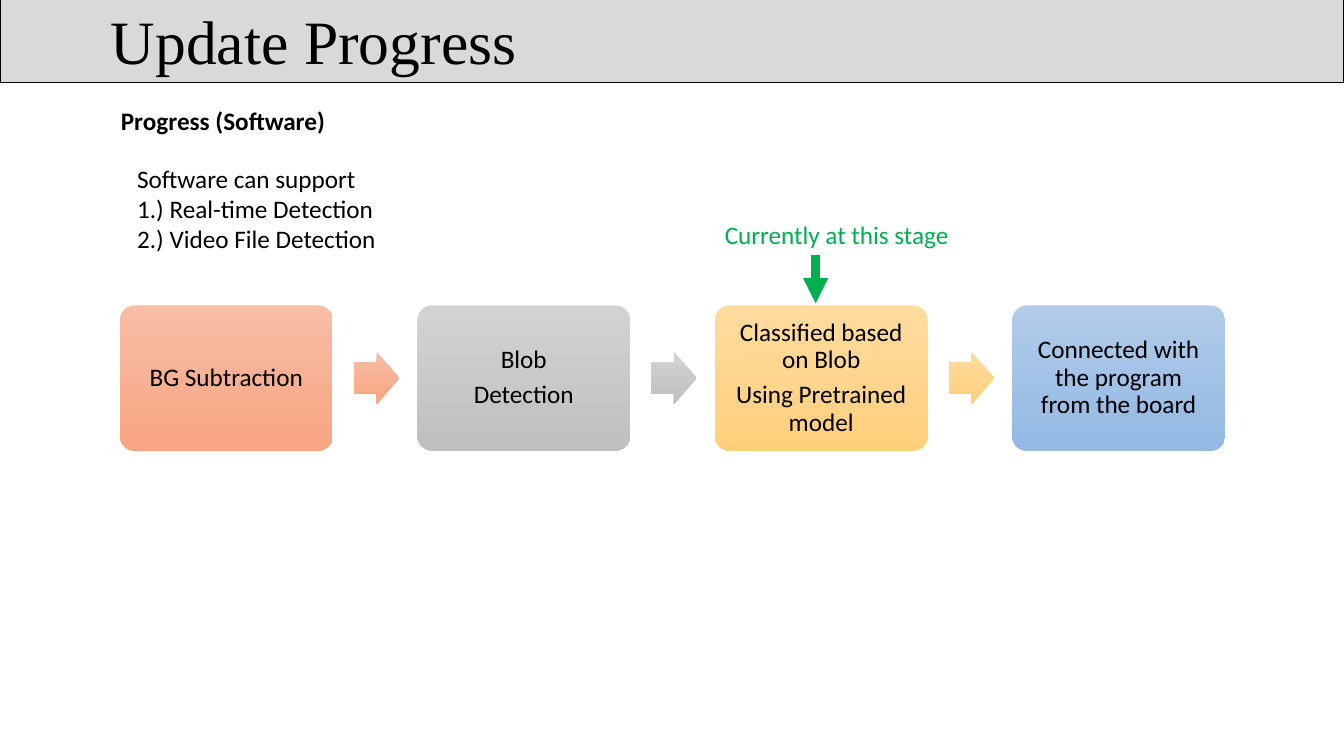
"""Build the "Update Progress" slide with its four-stage software pipeline."""
from dataclasses import dataclass

from lxml import etree
from pptx import Presentation
from pptx.dml.color import RGBColor
from pptx.enum.shapes import MSO_CONNECTOR, MSO_SHAPE
from pptx.enum.text import MSO_ANCHOR, MSO_AUTO_SIZE, PP_ALIGN
from pptx.oxml.ns import qn
from pptx.util import Emu, Pt

ROUND_RECT, RIGHT_ARROW = MSO_SHAPE.ROUNDED_RECTANGLE, MSO_SHAPE.RIGHT_ARROW
STRAIGHT = MSO_CONNECTOR.STRAIGHT
TOP, MIDDLE = MSO_ANCHOR.TOP, MSO_ANCHOR.MIDDLE
LEFT, CENTER = PP_ALIGN.LEFT, PP_ALIGN.CENTER
NO_FIT = MSO_AUTO_SIZE.NONE

EMU_PER_PX = 9144
BLACK, GREEN, BAR_GREY = "000000", "00B050", "D9D9D9"
STAGE_LEFT, STAGE_TOP, STAGE_W, STAGE_H, STAGE_PITCH = 119, 303, 211, 144, 295
ARROW_OFFSET, ARROW_W, ARROW_H = 232, 45, 52


@dataclass(frozen=True)
class Stage:
    text: str
    top_color: str
    bottom_color: str


@dataclass(frozen=True)
class Label:
    text: str
    left: int
    top: int
    width: int
    color: str
    bold: bool
    wrap: bool


STAGES = [
    Stage("BG Subtraction", "F7BDA5", "F8A582"),
    Stage("Blob\nDetection", "D2D2D2", "C0C0C0"),
    Stage("Classified based on Blob\nUsing Pretrained model", "FFDB9E", "FFD07C"),
    Stage("Connected with the program from the board", "B1CBE9", "93B9E4"),
]
LABELS = [
    Label("Progress (Software)", 110, 100, 398, BLACK, True, True),
    Label("Currently at this stage", 709, 213, 245, GREEN, False, False),
]
SUPPORT_LIST = "Software can support\n1.) Real-time Detection\n2.) Video File Detection"


def px(n: int) -> Emu:
    return Emu(n * EMU_PER_PX)


def rgb(color: str) -> RGBColor:
    return RGBColor.from_string(color)


def place(s, left: int, top: int, width: int, height: int) -> None:
    s.left, s.top, s.width, s.height = px(left), px(top), px(width), px(height)


def format_text(tf, color: str = BLACK, size: int = 18, font: str = "Calibri",
                bold: bool = False, align: PP_ALIGN = LEFT) -> None:
    for p in tf.paragraphs:
        p.alignment = align
        for r in p.runs:
            r.font.name, r.font.size, r.font.bold = font, Pt(size), bold
            r.font.color.rgb = rgb(color)


def add_gradient_shape(slide, kind: MSO_SHAPE, box: tuple[int, int, int, int],
                       stage: Stage, adjustment: float):
    s = slide.shapes.add_shape(kind, *map(px, box))
    s.adjustments[0] = adjustment
    s.shadow.inherit = False
    s.line.fill.background()
    s.fill.gradient()
    s.fill.gradient_angle = 270
    for stop, color in zip(s.fill.gradient_stops, (stage.top_color, stage.bottom_color)):
        stop.color.rgb = rgb(color)
    return s


def add_stage(slide, i: int, stage: Stage) -> None:
    left = STAGE_LEFT + i * STAGE_PITCH
    s = add_gradient_shape(slide, ROUND_RECT, (left, STAGE_TOP, STAGE_W, STAGE_H), stage, 0.1)
    tf = s.text_frame
    tf.text, tf.word_wrap, tf.vertical_anchor = stage.text, True, MIDDLE
    tf.margin_left = tf.margin_right = tf.margin_top = tf.margin_bottom = px(11)
    format_text(tf, align=CENTER)
    for p in tf.paragraphs:
        p.line_spacing, p.space_after = 0.9, Pt(6)
    if i < len(STAGES) - 1:
        top = STAGE_TOP + (STAGE_H - ARROW_H) // 2
        box = (left + ARROW_OFFSET, top, ARROW_W, ARROW_H)
        add_gradient_shape(slide, RIGHT_ARROW, box, stage, 0.6)


def add_label(slide, label: Label) -> None:
    s = slide.shapes.add_textbox(px(label.left), px(label.top), px(label.width), px(40))
    tf = s.text_frame
    tf.text, tf.word_wrap = label.text, label.wrap
    format_text(tf, label.color, bold=label.bold)


def add_stage_pointer(slide) -> None:
    s = slide.shapes.add_connector(STRAIGHT, px(809), px(253), px(809), px(301))
    s.line.color.rgb, s.line.width = rgb(GREEN), Pt(6)
    etree.SubElement(s.line._get_or_add_ln(), qn("a:tailEnd"), type="triangle")
    etree.SubElement(s._element.spPr, qn("a:effectLst"))


def fill_title(s) -> None:
    place(s, 0, -2, 1333, 84)
    s.fill.solid()
    s.fill.fore_color.rgb = rgb(BAR_GREY)
    s.line.color.rgb, s.line.width = rgb(BLACK), Pt(0.75)
    tf = s.text_frame
    tf.text, tf.auto_size, tf.vertical_anchor = "Update Progress", NO_FIT, MIDDLE
    tf.margin_left = px(110)
    format_text(tf, size=44, font="Times New Roman")


def fill_support_list(s) -> None:
    place(s, 126, 157, 398, 101)
    tf = s.text_frame
    tf.text, tf.auto_size, tf.vertical_anchor = SUPPORT_LIST, NO_FIT, TOP
    format_text(tf)
    for p in tf.paragraphs:
        p.space_before = Pt(0)
        pPr = p._p.get_or_add_pPr()
        pPr.set("marL", "0")
        pPr.set("indent", "0")
        etree.SubElement(pPr, qn("a:buNone"))


def main() -> None:
    prs = Presentation()
    prs.slide_width, prs.slide_height = px(1333), px(750)
    slide = prs.slides.add_slide(prs.slide_layouts[1])
    fill_title(slide.shapes.title)
    fill_support_list(slide.placeholders[1])
    for i, stage in enumerate(STAGES):
        add_stage(slide, i, stage)
    add_stage_pointer(slide)
    for label in LABELS:
        add_label(slide, label)
    prs.save("out.pptx")


if __name__ == "__main__":
    main()
